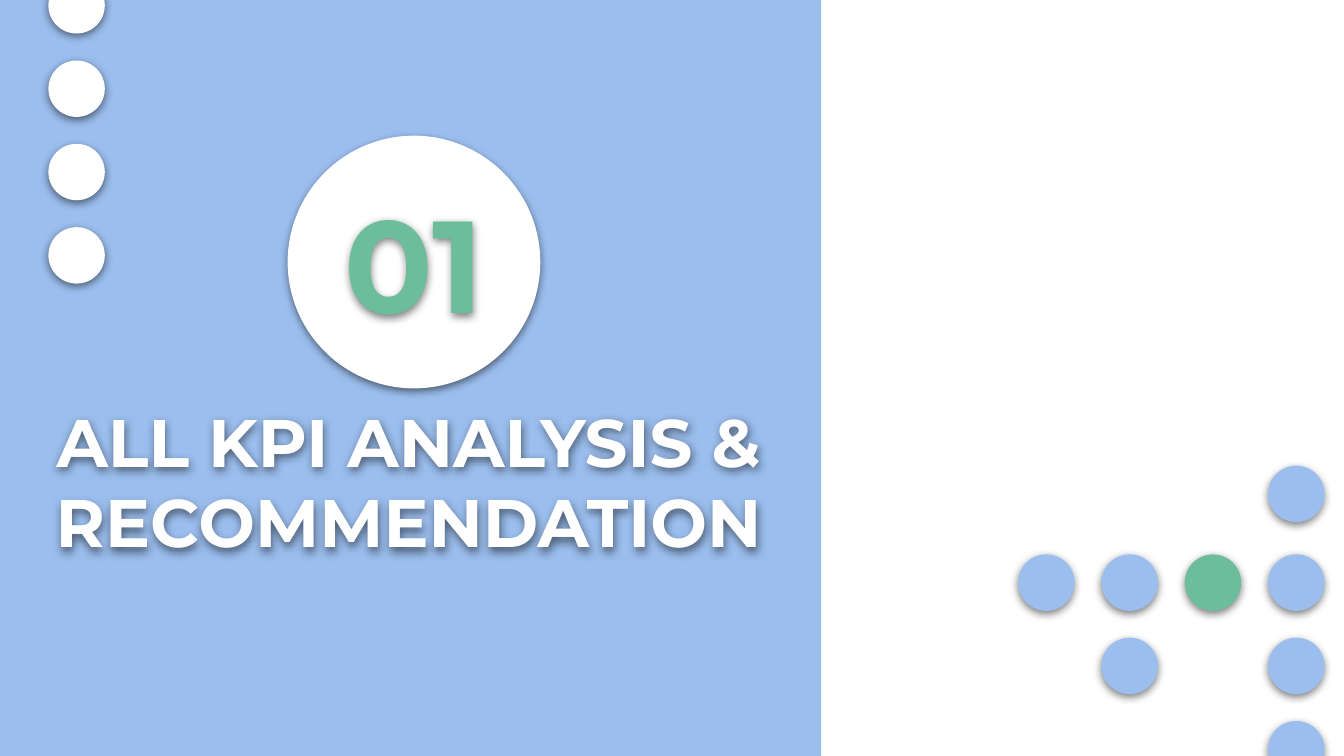
from lxml import etree
from pptx import Presentation
from pptx.dml.color import RGBColor
from pptx.enum import shapes, text
from pptx.oxml import ns
from pptx.util import Emu, Pt

PX = 4572  # 200 px to the inch
WIDTH, HEIGHT = 2000, 1125
FONT = "Montserrat"
COLORS = {"blue": "9BBEEE", "green": "6BBD9B", "white": "FFFFFF", "shadow": "000000"}
DOT, STEP = 84, 124


def px(n):
    return Emu(n * PX)


def rgb(name):
    return RGBColor.from_string(COLORS[name])


def add_shadow(sp):
    """Soft shadow straight below the shape, or below its text if unfilled."""
    sp.shadow.inherit = False
    effects = sp._element.spPr.find(ns.qn("a:effectLst"))
    shadow = etree.SubElement(
        effects, ns.qn("a:outerShdw"), blurRad=str(Pt(4.5)), dist=str(Pt(1.5)),
        dir="5400000", algn="bl", rotWithShape="0")
    color = etree.SubElement(shadow, ns.qn("a:srgbClr"), val=COLORS["shadow"])
    etree.SubElement(color, ns.qn("a:alpha"), val="50000")


def add_shape(slide, kind, box, color):
    sp = slide.shapes.add_shape(kind, *map(px, box))
    sp.shadow.inherit = False
    sp.fill.solid()
    sp.fill.fore_color.rgb = rgb(color)
    sp.line.fill.background()
    return sp


def add_circle(slide, left, top, size, color):
    add_shadow(add_shape(slide, shapes.MSO_SHAPE.OVAL, (left, top, size, size), color))


def add_heading(slide, box, words, size, color):
    sp = slide.shapes.add_textbox(*map(px, box))
    add_shadow(sp)
    tf = sp.text_frame
    tf.word_wrap = True
    tf.vertical_anchor = text.MSO_ANCHOR.MIDDLE
    tf.margin_left = tf.margin_right = tf.margin_top = tf.margin_bottom = px(20)
    p = tf.paragraphs[0]
    p.text = words
    p.alignment = text.PP_ALIGN.CENTER
    p.font.name, p.font.size, p.font.bold = FONT, Pt(size), True
    p.font.color.rgb = rgb(color)


def main():
    prs = Presentation()
    prs.slide_width, prs.slide_height = px(WIDTH), px(HEIGHT)
    slide = prs.slides.add_slide(prs.slide_layouts[6])

    # Left panel with section number and title
    add_shape(slide, shapes.MSO_SHAPE.RECTANGLE, (-2, 0, 1224, HEIGHT), "blue")
    add_circle(slide, 428, 202, 376, "white")
    add_heading(slide, (428, 297, 376, 184), "01", 70, "green")
    add_heading(slide, (0, 577, 1216, 276), "ALL KPI ANALYSIS & RECOMMENDATION", 36, "white")

    # Bottom-right dots as (column, row), plus the slightly raised top dot
    left, top = 1515, 825
    for col, row in [(0, 0), (1, 0), (2, 0), (3, 0), (1, 1), (3, 1), (3, 2)]:
        color = "green" if (col, row) == (2, 0) else "blue"
        add_circle(slide, left + col * STEP, top + row * STEP, DOT, color)
    add_circle(slide, left + 3 * STEP, 693, DOT, "blue")

    # Top-left column of dots
    for row in range(4):
        add_circle(slide, 72, -34 + row * STEP, DOT, "white")

    prs.save("out.pptx")


if __name__ == "__main__":
    main()
